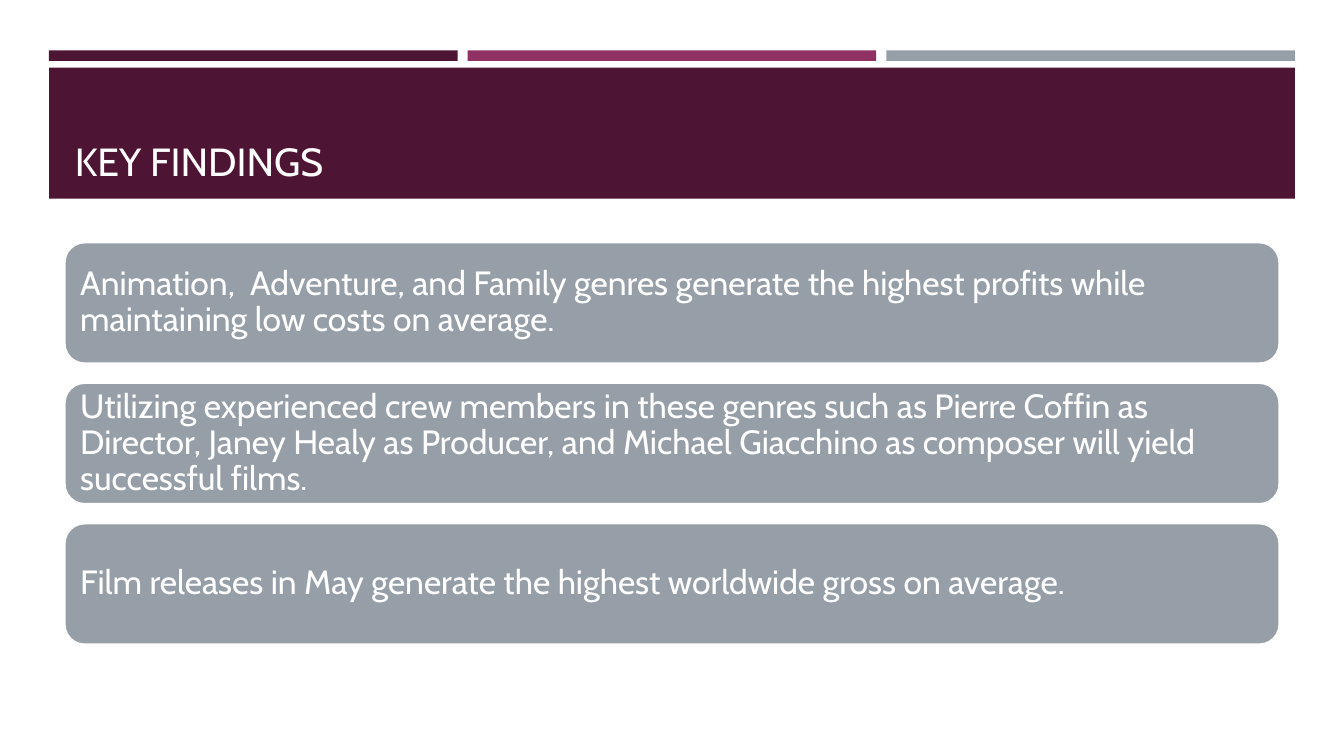
from pptx import Presentation
from pptx.dml.color import RGBColor
from pptx.enum.shapes import MSO_SHAPE
from pptx.enum.text import MSO_ANCHOR, MSO_AUTO_SIZE, PP_ALIGN
from pptx.util import Pt

RECTANGLE, ROUNDED = MSO_SHAPE.RECTANGLE, MSO_SHAPE.ROUNDED_RECTANGLE
BOTTOM, MIDDLE = MSO_ANCHOR.BOTTOM, MSO_ANCHOR.MIDDLE
LEFT_ALIGNED = PP_ALIGN.LEFT
FIXED_SIZE = MSO_AUTO_SIZE.NONE

PLUM = RGBColor(0x4D, 0x14, 0x34)
MAGENTA = RGBColor(0x90, 0x31, 0x63)
SLATE = RGBColor(0x96, 0x9F, 0xA7)
WHITE = RGBColor(0xFF, 0xFF, 0xFF)
TITLE_WHITE = RGBColor(0xFF, 0xFE, 0xFF)

FONT = "Cabin"
TITLE_ONLY = 5
FINDINGS = [
    "Animation,  Adventure, and Family genres generate the highest profits "
    "while maintaining low costs on average.",
    "Utilizing experienced crew members in these genres such as Pierre Coffin "
    "as Director, Janey Healy as Producer, and Michael Giacchino as composer "
    "will yield successful films.",
    "Film releases in May generate the highest worldwide gross on average.",
]


def set_all(target, values):
    """Set every attribute named in values on target."""
    for attribute, value in values.items():
        setattr(target, attribute, value)


def add_block(slide, kind, box, fill):
    """Add a flat, borderless shape in a box of points."""
    block = slide.shapes.add_shape(kind, *map(Pt, box))
    block.shadow.inherit = False
    block.fill.solid()
    block.fill.fore_color.rgb = fill
    block.line.fill.background()
    return block


def write(shape, text, size, color, anchor, line_spacing):
    """Put one left-aligned paragraph of text into a shape."""
    frame = shape.text_frame
    frame.text = text
    set_all(frame, {"word_wrap": True, "auto_size": FIXED_SIZE,
                    "vertical_anchor": anchor,
                    "margin_left": Pt(7.2), "margin_right": Pt(7.2)})
    paragraph = frame.paragraphs[0]
    set_all(paragraph, {"alignment": LEFT_ALIGNED, "line_spacing": line_spacing})
    font = paragraph.runs[0].font
    set_all(font, {"name": FONT, "size": Pt(size)})
    font.color.rgb = color


def add_accent_bars(slide, box, gap=7.2):
    """Split the box into three equal coloured bars."""
    left, top, width, height = box
    colors = [PLUM, MAGENTA, SLATE]
    bar_width = (width - gap * (len(colors) - 1)) / len(colors)
    for index, color in enumerate(colors):
        bar_left = left + index * (bar_width + gap)
        add_block(slide, RECTANGLE, (bar_left, top, bar_width, height), color)


def add_title_band(slide, box, heading):
    """Fill the box with the band and lay the title over it."""
    left, top, width, height = box
    add_block(slide, RECTANGLE, box, PLUM)
    title = slide.shapes.title
    set_all(title, {"left": Pt(left + 11.2), "top": Pt(top + 7),
                    "width": Pt(width - 22.4), "height": Pt(height - 13.6)})
    write(title, heading, 28, TITLE_WHITE, BOTTOM, 0.9)
    title.element.getparent().append(title.element)  # bring in front of the band


def add_finding_cards(slide, box, findings, gap=13.6):
    """Stack one rounded card per finding, equally spaced in the box."""
    left, top, width, height = box
    card_height = (height - gap * (len(findings) - 1)) / len(findings)
    for index, finding in enumerate(findings):
        card_top = top + index * (card_height + gap)
        card = add_block(slide, ROUNDED, (left, card_top, width, card_height), SLATE)
        card.line.color.rgb = WHITE
        card.line.width = Pt(1.75)
        write(card, finding, 24, WHITE, MIDDLE, 0.9)


def build():
    """Build and save the key findings slide."""
    deck = Presentation()
    set_all(deck, {"slide_width": Pt(960), "slide_height": Pt(540)})
    slide = deck.slides.add_slide(deck.slide_layouts[TITLE_ONLY])
    add_accent_bars(slide, (35, 36, 890, 7.5))
    add_title_band(slide, (35, 48.4, 890, 93.6), "KEY FINDINGS")
    add_finding_cards(slide, (46, 173, 868, 287.5), FINDINGS)
    deck.save("out.pptx")


build()
